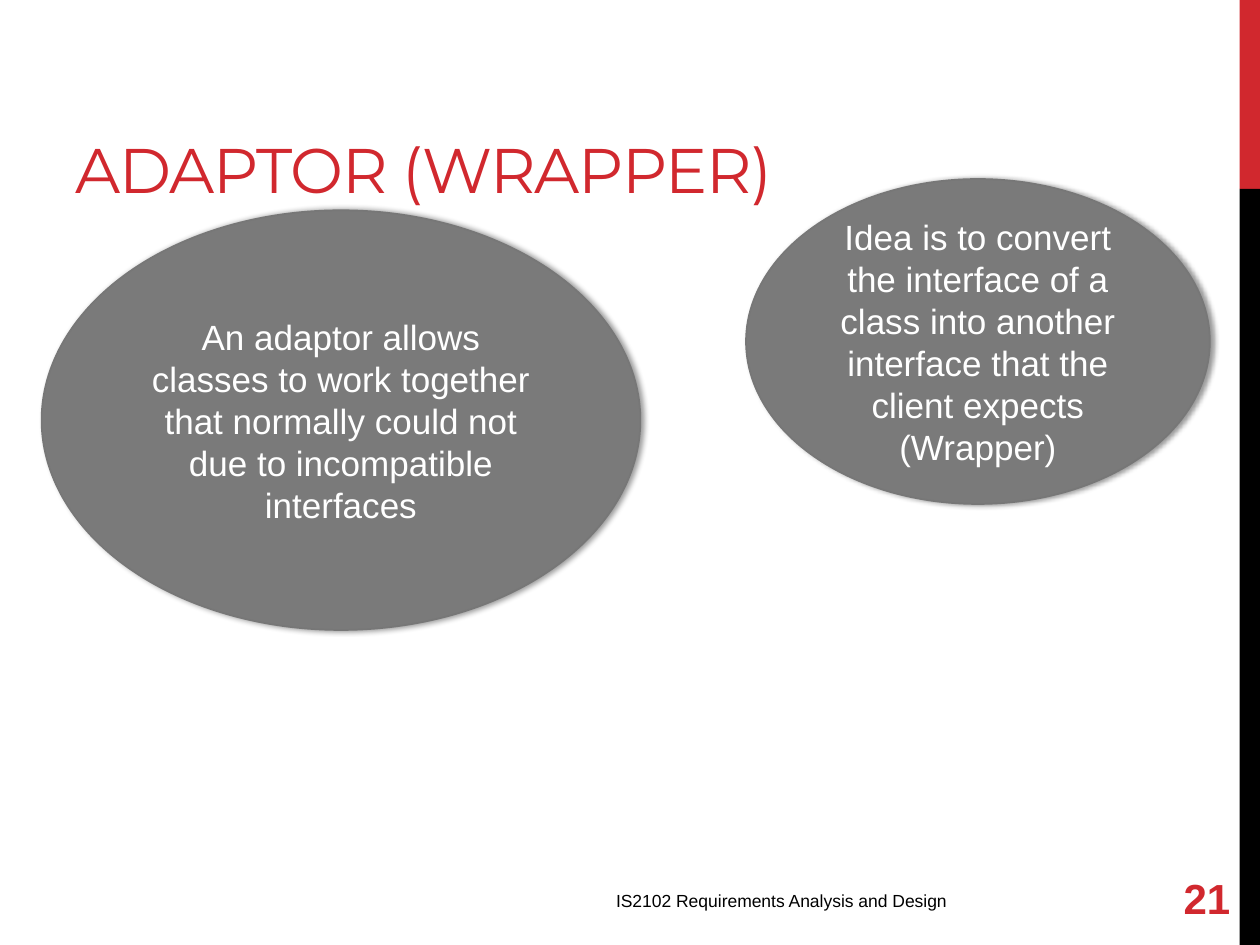
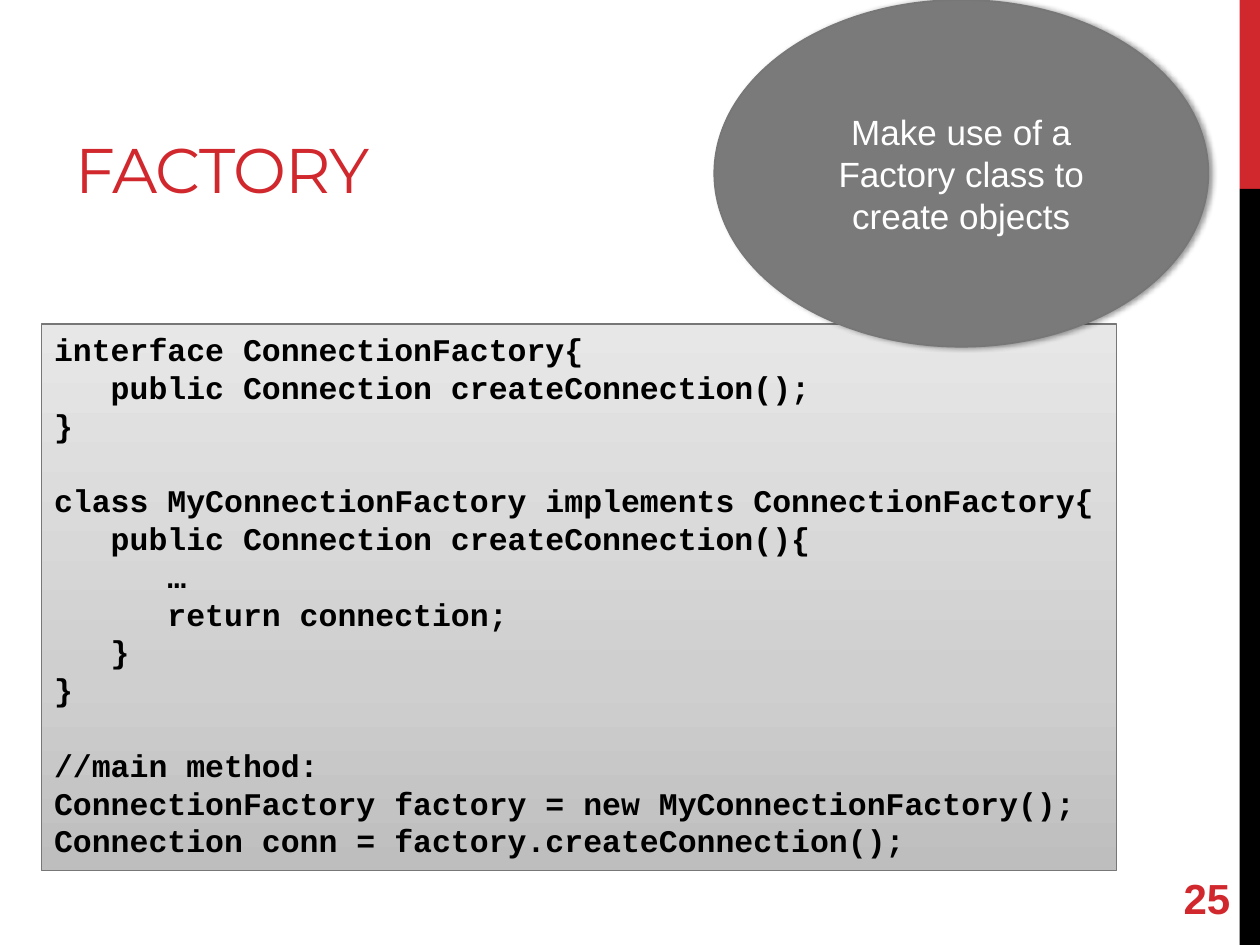
from lxml import etree
from pptx import Presentation
from pptx import util as u
from pptx.dml.color import RGBColor
from pptx.enum import shapes, text
from pptx.oxml import ns

RED, BLACK, WHITE, GREY, EDGE = "D1282E", "000000", "FFFFFF", "7A7A7A", "777777"
CODE_GRADIENT = {0: "BEBEBE", 35: "CFCFCF", 100: "E7E7E7"}
LINE_HEIGHT = 1.2

FACTORY_CODE = """interface ConnectionFactory{
   public Connection createConnection();
}

class MyConnectionFactory implements ConnectionFactory{
   public Connection createConnection(){
      …
      return connection;
   }
}

//main method:
ConnectionFactory factory = new MyConnectionFactory();
Connection conn = factory.createConnection();"""


def colour(value):
    """Turn a hex string into a colour."""
    return RGBColor.from_string(value)


def add_xml(parent, tag, **attributes):
    """Append a drawing element with its attributes."""
    values = {name: str(value) for name, value in attributes.items()}
    return etree.SubElement(parent, ns.qn(tag), values)


class Deck:
    """Hold the lecture style and the slide being built."""

    FORMATS = {
        "title": {"name": "Montserrat", "size": u.Pt(36), "bold": False},
        "footer": {"name": "Arial", "size": u.Pt(10), "bold": False},
        "number": {"name": "Arial", "size": u.Pt(24), "bold": True},
        "idea": {"name": "Arial", "size": u.Pt(20), "bold": False},
        "code": {"name": "Courier New", "size": u.Pt(18), "bold": True},
    }

    def __init__(self):
        """Open an empty 4:3 presentation."""
        self.presentation = Presentation()
        self.presentation.slide_width = u.Cm(25.4)
        self.presentation.slide_height = u.Cm(19.05)
        self.slide = None

    def start(self, title, number):
        """Begin a slide with its side bands, title and number."""
        layout = self.presentation.slide_layouts[6]
        self.slide = self.presentation.slides.add_slide(layout)
        self.band(0, 3.81, RED)
        self.band(3.81, 15.24, BLACK)
        heading = self.label(title, (1.27, 0.43, 16.08, 3.81), "title", RED,
                             anchor=text.MSO_ANCHOR.BOTTOM)
        heading.margin_bottom = u.Cm(0.08)
        for run in heading.paragraphs[0].runs:
            run.font._element.set("spc", "-60")
        self.label(str(number), (21.39, 17.58, 3.66, 1.02), "number", RED,
                   text.PP_ALIGN.RIGHT, text.MSO_ANCHOR.MIDDLE)

    def add_line(self, frame, line, style, ink, align=text.PP_ALIGN.LEFT, first=True):
        """Put one formatted paragraph into a text frame."""
        paragraph = frame.paragraphs[0] if first else frame.add_paragraph()
        paragraph.alignment = align
        run = paragraph.add_run()
        run.text = line
        for name, value in self.FORMATS[style].items():
            setattr(run.font, name, value)
        run.font.color.rgb = colour(ink)
        return paragraph

    def label(self, words, box, style, ink, align=text.PP_ALIGN.LEFT,
              anchor=text.MSO_ANCHOR.TOP):
        """Add plain text in a box."""
        frame = self.slide.shapes.add_textbox(*map(u.Cm, box)).text_frame
        frame.word_wrap = True
        frame.vertical_anchor = anchor
        self.add_line(frame, words, style, ink, align)
        return frame

    def panel(self, kind, box, edge=None):
        """Add a flat preset shape with an optional outline."""
        panel = self.slide.shapes.add_shape(kind, *map(u.Cm, box))
        panel.shadow.inherit = False
        if edge:
            panel.line.color.rgb = colour(edge)
            panel.line.width = u.Pt(1)
        else:
            panel.line.fill.background()
        panel.text_frame.word_wrap = True
        return panel

    def band(self, top, height, ink):
        """Add a band at the right edge."""
        band = self.panel(shapes.MSO_SHAPE.RECTANGLE, (24.99, top, 0.41, height))
        band.fill.solid()
        band.fill.fore_color.rgb = colour(ink)

    def idea(self, words, box):
        """Add a shadowed ellipse that states an idea."""
        idea = self.panel(shapes.MSO_SHAPE.OVAL, box, EDGE)
        idea.fill.solid()
        idea.fill.fore_color.rgb = colour(GREY)
        effects = idea._element.spPr.find(ns.qn("a:effectLst"))
        shadow = add_xml(effects, "a:outerShdw", blurRad=u.Pt(3.1), dist=u.Pt(1.8),
                         dir=0, rotWithShape=0)
        add_xml(add_xml(shadow, "a:srgbClr", val=BLACK), "a:alpha", val=40000)
        idea.text_frame.vertical_anchor = text.MSO_ANCHOR.MIDDLE
        paragraph = self.add_line(idea.text_frame, words, "idea", WHITE,
                                  text.PP_ALIGN.CENTER)
        paragraph.line_spacing = u.Pt(20 * LINE_HEIGHT)

    def code(self, listing, box):
        """Add a code listing on a gradient panel."""
        panel = self.panel(shapes.MSO_SHAPE.RECTANGLE, box, EDGE)
        panel.fill.gradient()
        panel.fill.gradient_angle = 90
        stops = panel._element.spPr.find(".//" + ns.qn("a:gsLst"))
        stops.clear()
        for position, tone in CODE_GRADIENT.items():
            stop = add_xml(stops, "a:gs", pos=position * 1000)
            add_xml(stop, "a:srgbClr", val=tone)
        frame = panel.text_frame
        frame.vertical_anchor = text.MSO_ANCHOR.TOP
        pitch = u.Pt(18 * LINE_HEIGHT)
        for block_index, block in enumerate(listing.split("\n\n")):
            for line_index, line in enumerate(block.split("\n")):
                first = block_index == line_index == 0
                paragraph = self.add_line(frame, line, "code", BLACK, first=first)
                paragraph.line_spacing = pitch
                if line_index == 0 and not first:
                    paragraph.space_before = pitch


def main():
    """Build both design pattern slides."""
    deck = Deck()

    deck.start("ADAPTOR (WRAPPER)", 21)
    deck.label("IS2102 Requirements Analysis and Design",
               (12.17, 17.81, 8.79, 1.02), "footer", BLACK)
    deck.idea("Idea is to convert the interface of a class into another "
              "interface that the client expects (Wrapper)",
              (15.04, 3.61, 9.35, 6.55))
    deck.idea("An adaptor allows classes to work together that normally "
              "could not due to incompatible interfaces",
              (0.84, 4.24, 12.07, 8.46))

    deck.start("FACTORY", 25)
    deck.code(FACTORY_CODE, (0.84, 6.53, 21.67, 11.02))
    deck.idea("Make use of a Factory class to create objects",
              (14.4, 0, 9.96, 6.99))

    deck.presentation.save("out.pptx")


if __name__ == "__main__":
    main()
